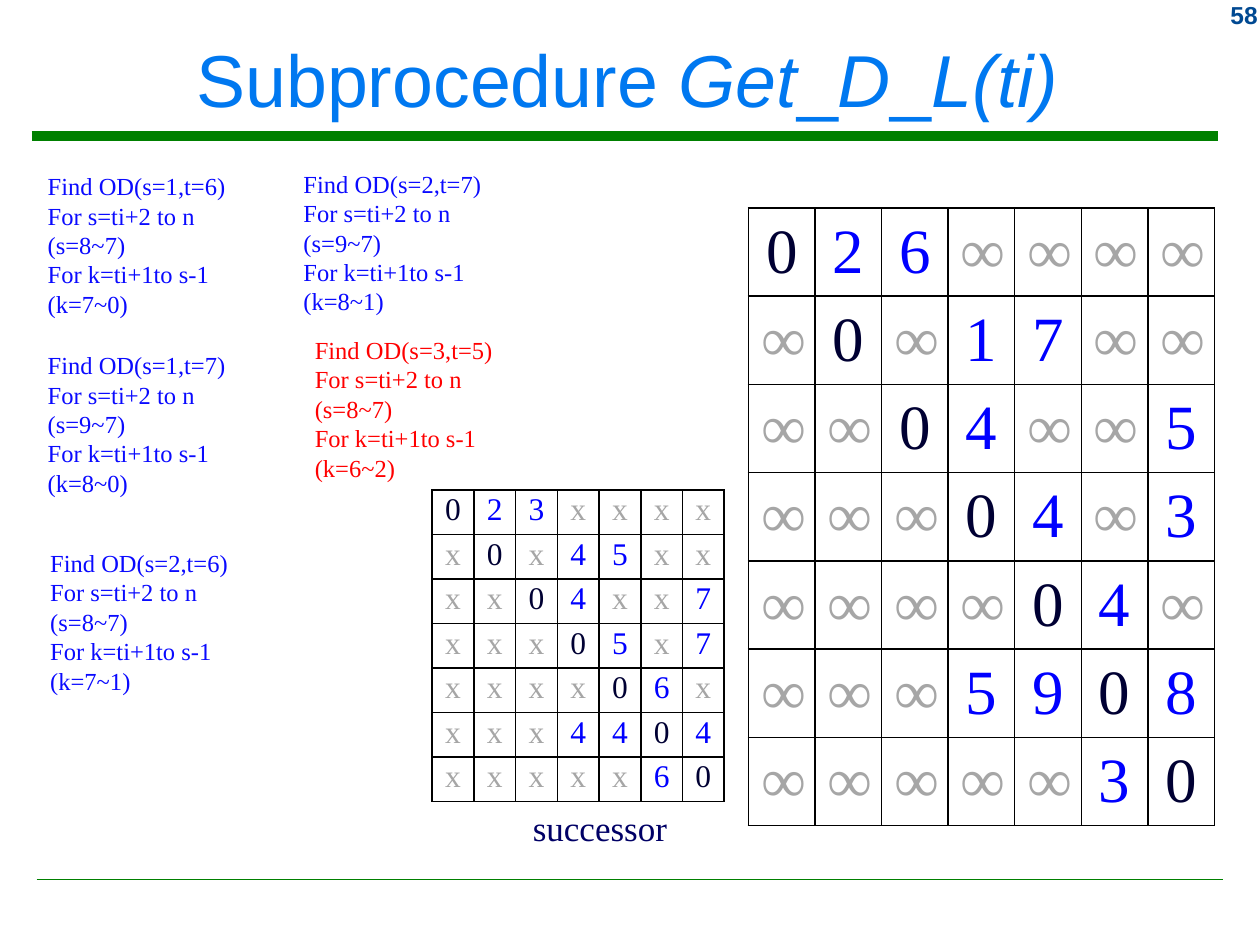
"""Build the Get_D_L(ti) slide with its distance and successor tables."""
from lxml.etree import SubElement
from pptx import Presentation
from pptx.dml.color import RGBColor as RGB
from pptx.enum.shapes import MSO_CONNECTOR as CONN
from pptx.enum.text import MSO_ANCHOR as ANCHOR, PP_ALIGN as ALIGN
from pptx.oxml.ns import qn
from pptx.util import Inches, Pt

WIDTH, HEIGHT = Inches(10), Inches(7.5)
COLORS = {
    "title": "0078F0", "number": "004992", "rule": "008000", "step": "0A0AFF",
    "current": "FF0000", "caption": "000066", "zero": "000033",
    "value": "0000FF", "none": "A6A6A6", "border": "000000", "cell": "FFFFFF",
}
SANS, SERIF = "Arial", "Times New Roman"
FORMATS = {
    "title": {"name": SANS, "size": Pt(42)},
    "number": {"name": SANS, "size": Pt(14), "bold": True},
    "step": {"name": SERIF, "size": Pt(14)},
    "current": {"name": SERIF, "size": Pt(14)},
    "caption": {"name": SERIF, "size": Pt(20)},
}
RULES = [(2.5, 96.7, 14.4, 5.25), (2.9, 97.1, 93.07, 1)]
TITLE = [("Subprocedure ", False), ("Get", True), ("_", False),
         ("D", True), ("_", False), ("L(ti)", True)]
LABELS = [
    ("number", (91.7, -0.67, 9.1, 4.4), [("58", None)], ALIGN.RIGHT, ANCHOR.TOP, True),
    ("title", (0.8, 1.2, 98, 14.13), TITLE, ALIGN.CENTER, ANCHOR.MIDDLE, True),
    ("caption", (41.3, 84.67, 12.8, 5.87), [("successor", None)], ALIGN.LEFT, ANCHOR.TOP, False),
]
STEP_SIZE = (26.8, 23.33)
STEPS = [
    ("step", 2.8, 17.47, "s=1,t=6", "s=8~7", "k=7~0"),
    ("step", 2.8, 36.4, "s=1,t=7", "s=9~7", "k=8~0"),
    ("current", 24, 34.8, "s=3,t=5", "s=8~7", "k=6~2"),
    ("step", 23.1, 17.2, "s=2,t=7", "s=9~7", "k=8~1"),
    ("step", 3, 57.33, "s=2,t=6", "s=8~7", "k=7~1"),
]
DISTANCES = ["026∞∞∞∞", "∞0∞17∞∞", "∞∞04∞∞5", "∞∞∞04∞3",
             "∞∞∞∞04∞", "∞∞∞5908", "∞∞∞∞∞30"]
SUCCESSORS = ["023xxxx", "x0x45xx", "xx04xx7", "xxx05x7",
              "xxxx06x", "xxx4404", "xxxxx60"]
TABLES = [
    (DISTANCES, (59.4, 22, 37, 65.33), 36, ANCHOR.MIDDLE, (0.1, 0.05)),
    (SUCCESSORS, (34.3, 51.87, 23.2, 32.93), 18, ANCHOR.TOP, (0.05, 0.02)),
]


def place(left, top, width, height):
    return (int(WIDTH * left / 100), int(HEIGHT * top / 100),
            int(WIDTH * width / 100), int(HEIGHT * height / 100))


def style(font, color, **values):
    for key, value in values.items():
        setattr(font, key, value)
    font.color.rgb = RGB.from_string(COLORS[color])


def add_text(s, kind, box, paragraphs, align=ALIGN.LEFT, anchor=ANCHOR.TOP, wrap=True):
    tf = s.shapes.add_textbox(*place(*box)).text_frame
    tf.word_wrap, tf.vertical_anchor = wrap, anchor
    for i, runs in enumerate(paragraphs):
        p = tf.add_paragraph() if i else tf.paragraphs[0]
        p.alignment = align
        for text, italic in runs:
            r = p.add_run()
            r.text = text
            style(r.font, kind, italic=italic, **FORMATS[kind])


def add_rule(s, start, end, y, weight):
    x, y, width, _ = place(start, y, end - start, 0)
    line = s.shapes.add_connector(CONN.STRAIGHT, x, y, x + width, y)
    line.line.width = Pt(weight)
    line.line.color.rgb = RGB.from_string(COLORS["rule"])
    SubElement(line._element.spPr, qn("a:effectLst"))


def add_borders(cell):
    tc_pr = cell._tc.get_or_add_tcPr()
    for i, side in enumerate(("lnL", "lnR", "lnT", "lnB")):
        ln = tc_pr.makeelement(qn(f"a:{side}"), {"w": str(Pt(1))})
        tc_pr.insert(i, ln)
        fill = SubElement(ln, qn("a:solidFill"))
        SubElement(fill, qn("a:srgbClr"), val=COLORS["border"])


def add_matrix(s, rows, box, size, anchor, inset):
    n = len(rows)
    left, top, width, height = place(*box)
    table = s.shapes.add_table(n, n, left, top, width, height).table
    table.first_row = table.horz_banding = False
    for i, row in enumerate(rows):
        table.rows[i].height = height // n
        table.columns[i].width = width // n
        for j, text in enumerate(row):
            cell = table.cell(i, j)
            cell.fill.solid()
            cell.fill.fore_color.rgb = RGB.from_string(COLORS["cell"])
            cell.vertical_anchor = anchor
            cell.margin_left = cell.margin_right = Inches(inset[0])
            cell.margin_top = cell.margin_bottom = Inches(inset[1])
            add_borders(cell)
            p = cell.text_frame.paragraphs[0]
            p.alignment = ALIGN.CENTER
            r = p.add_run()
            r.text = text
            color = {"0": "zero", "x": "none", "∞": "none"}.get(text, "value")
            style(r.font, color, name=SERIF, size=Pt(size))


def main():
    prs = Presentation()
    prs.slide_width, prs.slide_height = WIDTH, HEIGHT
    s = prs.slides.add_slide(prs.slide_layouts[6])
    for rule in RULES:
        add_rule(s, *rule)
    for kind, box, runs, align, anchor, wrap in LABELS:
        add_text(s, kind, box, [runs], align, anchor, wrap)
    for matrix in TABLES:
        add_matrix(s, *matrix)
    for kind, left, top, target, s_range, k_range in STEPS:
        lines = [f"Find OD({target})", "For s=ti+2 to n", f"({s_range})",
                 "For k=ti+1to s-1", f"({k_range})"]
        add_text(s, kind, (left, top, *STEP_SIZE), [[(line, None)] for line in lines])
    prs.save("out.pptx")


if __name__ == "__main__":
    main()
